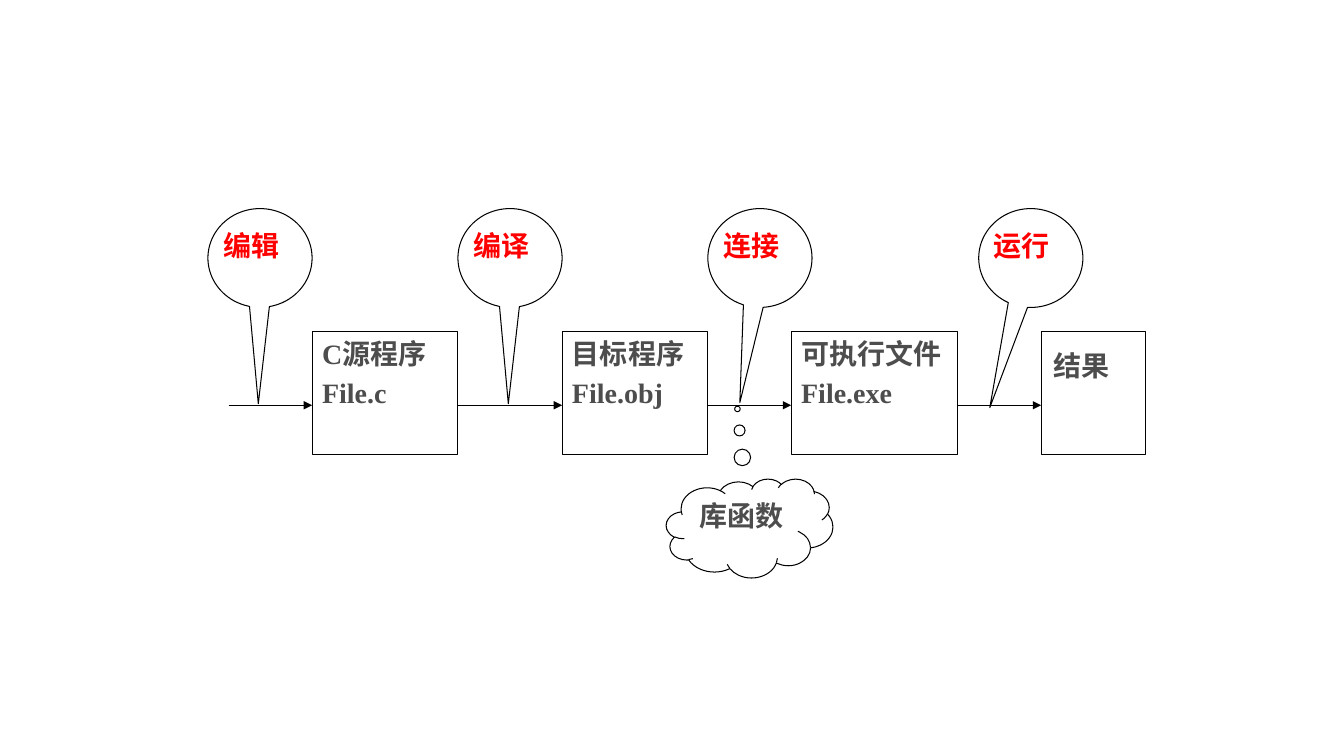
"""Builds a slide showing how a C program goes from editing to its result."""
from dataclasses import dataclass

from lxml import etree
from pptx import Presentation
from pptx.dml.color import RGBColor
from pptx.enum.shapes import MSO_CONNECTOR, MSO_SHAPE
from pptx.enum.text import MSO_ANCHOR, PP_ALIGN
from pptx.oxml.ns import qn
from pptx.util import Pt

RECT = MSO_SHAPE.RECTANGLE
BALLOON = MSO_SHAPE.OVAL_CALLOUT
CLOUD = MSO_SHAPE.CLOUD_CALLOUT
STRAIGHT = MSO_CONNECTOR.STRAIGHT
JUSTIFY = PP_ALIGN.JUSTIFY
TOP = MSO_ANCHOR.TOP
BLANK_LAYOUT = 6


@dataclass(frozen=True)
class Theme:
    """Colours, type and line sizes of the slide."""
    paper: RGBColor = RGBColor(0xFF, 0xFF, 0xFF)
    ink: RGBColor = RGBColor(0x00, 0x00, 0x00)
    text: RGBColor = RGBColor(0x4D, 0x4D, 0x4D)
    action: RGBColor = RGBColor(0xFF, 0x00, 0x00)
    font: str = "Times New Roman"
    size: float = 20
    gap: float = 4
    line: float = 0.75


THEME = Theme()

UNIT = 14.88
FLOW_LEFT = 163.4
FLOW_Y = 289.5
BOX_TOP, BOX_H = 236.9, 87.8
BALLOON_TOP, BALLOON_W, BALLOON_H = 149, 74.4, 70.6
BOX_INSETS = (7.2, 3.6, 7.2, 3.6)
RESULT_INSETS = (8.6, 12.2, 0, 3.6)
BALLOON_INSETS = (0, 3.6, 0, 3.6)

# action, balloon shift, balloon tip, arrow units, box units, box lines, box insets
STAGES = [
    ("编辑", -1, (-0.016, 1.474), 4, 7, ["C源程序", "File.c"], BOX_INSETS),
    ("编译", 0, (-0.016, 1.474), 5, 7, ["目标程序", "File.obj"], BOX_INSETS),
    ("连接", 0, (-0.193, 1.462), 4, 8, ["可执行文件", "File.exe"], BOX_INSETS),
    ("运行", 1, (-0.393, 1.513), 4, 5, ["结果"], RESULT_INSETS),
]


def add_text(sp, lines, color, insets):
    """Write lines into a shape, one paragraph each."""
    tf = sp.text_frame
    tf.word_wrap = True
    tf.vertical_anchor = TOP
    tf.margin_left, tf.margin_top, tf.margin_right, tf.margin_bottom = map(Pt, insets)
    for i, line in enumerate(lines):
        p = tf.add_paragraph() if i else tf.paragraphs[0]
        p.alignment = JUSTIFY
        p.space_before = Pt(THEME.gap if i else 0)
        r = p.add_run()
        r.text = line
        r.font.name = THEME.font
        r.font.size = Pt(THEME.size)
        r.font.bold = True
        r.font.color.rgb = color


def add_figure(s, kind, box, lines, color=THEME.text, insets=BOX_INSETS, tip=()):
    """Add an outlined shape with text and, for a callout, its tip."""
    sp = s.shapes.add_shape(kind, *map(Pt, box))
    for i, value in enumerate(tip):
        sp.adjustments[i] = value
    sp.shadow.inherit = False
    sp.fill.solid()
    sp.fill.fore_color.rgb = THEME.paper
    sp.line.color.rgb = THEME.ink
    sp.line.width = Pt(THEME.line)
    add_text(sp, lines, color, insets)


def add_arrow(s, left, right, y):
    """Add a horizontal arrow pointing right."""
    cn = s.shapes.add_connector(STRAIGHT, Pt(left), Pt(y), Pt(right), Pt(y))
    cn.line.color.rgb = THEME.ink
    cn.line.width = Pt(THEME.line)
    etree.SubElement(cn.line._get_or_add_ln(), qn("a:tailEnd"), type="triangle")
    etree.SubElement(cn._element.spPr, qn("a:effectLst"))


def add_flow(s):
    """Add every stage: an arrow, its action balloon and the box it leads to."""
    x = FLOW_LEFT
    for action, shift, tip, arrow, width, lines, insets in STAGES:
        box_left = x + arrow * UNIT
        add_figure(s, RECT, (box_left, BOX_TOP, width * UNIT, BOX_H), lines, insets=insets)
        add_arrow(s, x, box_left, FLOW_Y)
        balloon = (x + shift * UNIT, BALLOON_TOP, BALLOON_W, BALLOON_H)
        add_figure(s, BALLOON, balloon, [action], THEME.action, BALLOON_INSETS, tip)
        x = box_left + width * UNIT


def main():
    """Build and save the slide."""
    prs = Presentation()
    prs.slide_width, prs.slide_height = Pt(960), Pt(540)
    s = prs.slides.add_slide(prs.slide_layouts[BLANK_LAYOUT])
    add_flow(s)
    add_figure(s, CLOUD, (475.9, 342, 8 * UNIT, BALLOON_H), ["库函数"], tip=(-0.073, -1.207))
    prs.save("out.pptx")


if __name__ == "__main__":
    main()
